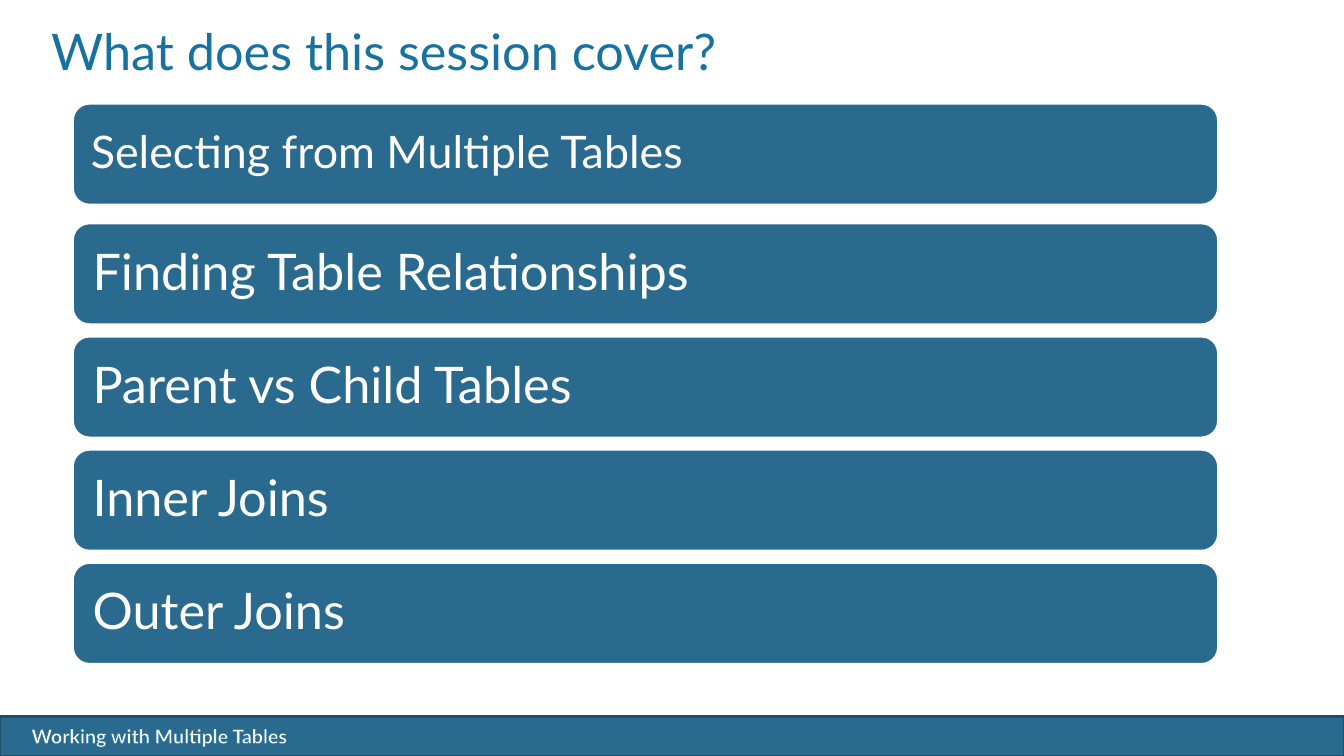
import pptx
import pptx.dml.color
import pptx.enum.shapes
import pptx.enum.text
import pptx.oxml
import pptx.util
from pptx.util import Pt

# Content
TITLE = "What does this session cover?"
FOOTER = "Working with Multiple Tables"
TOPICS = [  # text, top, font size, inset
    ("Selecting from Multiple Tables", 73.75, 32, 9.6),
    ("Finding Table Relationships", 159.25, 36, 10.8),
    ("Parent vs Child Tables", 240.1, 36, 10.8),
    ("Inner Joins", 320.95, 36, 10.8),
    ("Outer Joins", 401.8, 36, 10.8),
]
COLORS = {"bar": "296A8E", "edge": "1E4E69", "title": "1872A0", "white": "FFFFFF"}
FONT = "Lato"
PAGE_WIDTH, PAGE_HEIGHT = 960, 540
BAR_LEFT, BAR_WIDTH, BAR_HEIGHT = 51.8, 818.6, 72.7
FOOTER_TOP = 511.6


def rgb(name):
    return pptx.dml.color.RGBColor.from_string(COLORS[name])


def add_bar(page, kind, left, top, width, height, edge):
    bar = page.shapes.add_shape(kind, Pt(left), Pt(top), Pt(width), Pt(height))
    bar.shadow.inherit = False
    bar.fill.solid()
    bar.fill.fore_color.rgb = rgb("bar")
    bar.line.color.rgb = rgb(edge)
    bar.line.width = Pt(2)
    return bar


def write(box, text, size, color):
    box.text_frame.word_wrap = True
    para = box.text_frame.paragraphs[0]
    para.text = text
    para.alignment = pptx.enum.text.PP_ALIGN.LEFT
    para.font.name = FONT
    para.font.size = Pt(size)
    para.font.color.rgb = rgb(color)
    return para


def add_outline(span, color, width):
    outline = pptx.oxml.parse_xml(
        '<a:ln xmlns:a="http://schemas.openxmlformats.org/drawingml/2006/main" '
        f'w="{Pt(width)}"><a:solidFill><a:srgbClr val="{COLORS[color]}"/>'
        "</a:solidFill></a:ln>")
    span._r.get_or_add_rPr().insert(0, outline)


deck = pptx.Presentation()
deck.slide_width, deck.slide_height = Pt(PAGE_WIDTH), Pt(PAGE_HEIGHT)
page = deck.slides.add_slide(deck.slide_layouts[6])
shapes = pptx.enum.shapes.MSO_SHAPE

# Footer band
add_bar(page, shapes.RECTANGLE, 0, FOOTER_TOP, PAGE_WIDTH,
        PAGE_HEIGHT - FOOTER_TOP, "edge")
footer = page.shapes.add_textbox(Pt(15.4), Pt(513.6), Pt(436), Pt(24.2))
footer_para = write(footer, FOOTER, 14, "white")
footer_para.font.bold = True
add_outline(footer_para.runs[0], "title", 0.8)

# Title
title = page.shapes.add_textbox(Pt(29.5), Pt(18.7), Pt(864), Pt(90))
write(title, TITLE, 36, "title").line_spacing = Pt(35)

# Topic bars
for text, top, size, inset in TOPICS:
    bar = add_bar(page, shapes.ROUNDED_RECTANGLE, BAR_LEFT, top,
                  BAR_WIDTH, BAR_HEIGHT, "white")
    frame = bar.text_frame
    frame.margin_left = frame.margin_right = Pt(inset)
    frame.margin_top = frame.margin_bottom = Pt(inset)
    frame.vertical_anchor = pptx.enum.text.MSO_ANCHOR.MIDDLE
    write(bar, text, size, "white").line_spacing = 0.9

deck.save("out.pptx")
